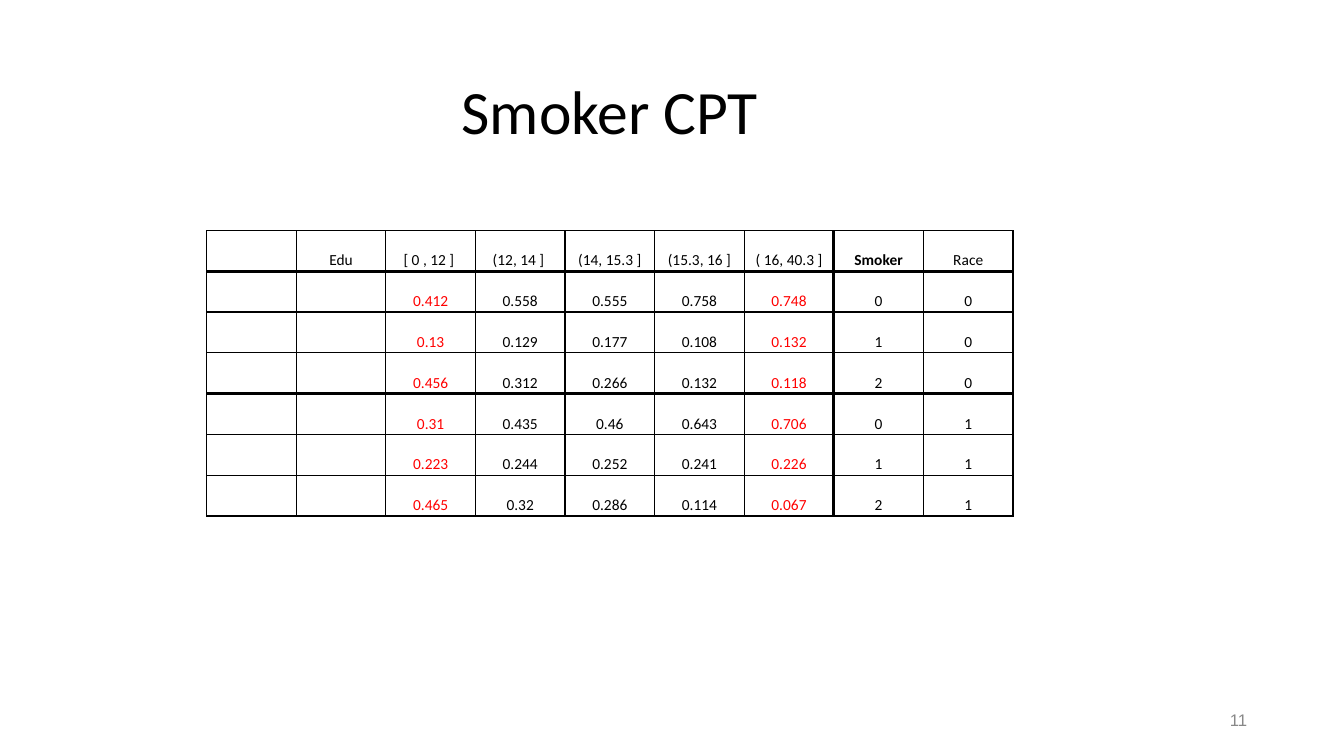
from lxml import etree
from pptx import Presentation
from pptx import util as u
from pptx.dml.color import RGBColor
from pptx.enum import text
from pptx.oxml.ns import qn

TITLE = "Smoker CPT"
PAGE_NUMBER = "11"
HEADINGS = ["", "Edu", "[ 0 , 12 ] ", "(12, 14 ] ", "(14, 15.3 ]", "(15.3, 16 ]",
            "( 16, 40.3 ]", "Smoker", "Race"]
PROBABILITIES = [
    ["", "", "0.412", "0.558", "0.555", "0.758", "0.748", "0", "0"],
    ["", "", "0.13", "0.129", "0.177", "0.108", "0.132", "1", "0"],
    ["", "", "0.456", "0.312", "0.266", "0.132", "0.118", "2", "0"],
    ["", "", "0.31", "0.435", "0.46", "0.643", "0.706", "0", "1"],
    ["", "", "0.223", "0.244", "0.252", "0.241", "0.226", "1", "1"],
    ["", "", "0.465", "0.32", "0.286", "0.114", "0.067", "2", "1"],
]
COLORS = {"ink": "000000", "accent": "FF0000", "page": "888888"}
ACCENT_COLUMNS = (2, 6)
HEAVY_ROW_EDGES = (1, 4)
HEAVY_COLUMN_EDGES = (7,)
THIN, HEAVY = 1, 2.25
TABLE_LEFT, TABLE_TOP, TABLE_WIDTH, TABLE_HEIGHT = 2.05, 2.29, 8, 2.83
HEADING_HEIGHT = 0.4


def style(paragraph, size, color, align, font="Calibri", bold=False):
    paragraph.alignment = align
    for item in [paragraph, *paragraph.runs]:
        item.font.size = u.Pt(size)
        item.font.name = font
        item.font.bold = bold
        item.font.color.rgb = RGBColor.from_string(COLORS[color])


def set_margins(frame, inset):
    frame.margin_left = frame.margin_right = u.Inches(inset)
    frame.margin_top = frame.margin_bottom = u.Inches(inset)


def add_borders(cell, row, column):
    properties = cell._tc.get_or_add_tcPr()
    edges = [("lnL", column in HEAVY_COLUMN_EDGES),
             ("lnR", column + 1 in HEAVY_COLUMN_EDGES),
             ("lnT", row in HEAVY_ROW_EDGES),
             ("lnB", row + 1 in HEAVY_ROW_EDGES)]
    for position, (edge, heavy) in enumerate(edges):
        line = etree.Element(qn("a:" + edge), w=str(u.Pt(HEAVY if heavy else THIN)))
        fill = etree.SubElement(line, qn("a:solidFill"))
        etree.SubElement(fill, qn("a:srgbClr"), val=COLORS["ink"])
        properties.insert(position, line)


def add_title(slide):
    title = slide.shapes.title
    title.left, title.top = u.Inches(0.3), u.Inches(0.41)
    title.width, title.height = u.Inches(11.5), u.Inches(1.45)
    frame = title.text_frame
    frame.text = TITLE
    frame.vertical_anchor = text.MSO_ANCHOR.MIDDLE
    set_margins(frame, 0.05)
    frame.paragraphs[0].line_spacing = 0.9
    style(frame.paragraphs[0], 44, "ink", text.PP_ALIGN.CENTER)


def add_page_number(slide):
    page = slide.shapes.add_textbox(u.Inches(9.42), u.Inches(7), u.Inches(3), u.Inches(0.29))
    frame = page.text_frame
    frame.text = PAGE_NUMBER
    frame.word_wrap = True
    frame.vertical_anchor = text.MSO_ANCHOR.MIDDLE
    set_margins(frame, 0.05)
    style(frame.paragraphs[0], 12, "page", text.PP_ALIGN.RIGHT, font="Arial")


def add_probability_table(slide):
    rows = [HEADINGS, *PROBABILITIES]
    table = slide.shapes.add_table(
        len(rows), len(HEADINGS), u.Inches(TABLE_LEFT), u.Inches(TABLE_TOP),
        u.Inches(TABLE_WIDTH), u.Inches(TABLE_HEIGHT)).table
    table.first_row = table.horz_banding = False
    for column in table.columns:
        column.width = u.Inches(TABLE_WIDTH / len(HEADINGS))
    value_height = (TABLE_HEIGHT - HEADING_HEIGHT) / len(PROBABILITIES)
    for r, values in enumerate(rows):
        table.rows[r].height = u.Inches(value_height if r else HEADING_HEIGHT)
        for c, value in enumerate(values):
            cell = table.cell(r, c)
            cell.text = value
            cell.fill.background()
            cell.vertical_anchor = text.MSO_ANCHOR.BOTTOM
            set_margins(cell, 0.01)
            color = "accent" if r and c in ACCENT_COLUMNS else "ink"
            style(cell.text_frame.paragraphs[0], 11, color, text.PP_ALIGN.CENTER,
                  bold=value == "Smoker")
            add_borders(cell, r, c)


def main():
    deck = Presentation()
    deck.slide_width, deck.slide_height = u.Inches(13.33), u.Inches(7.5)
    slide = deck.slides.add_slide(deck.slide_layouts[5])
    add_title(slide)
    add_page_number(slide)
    add_probability_table(slide)
    deck.save("out.pptx")


if __name__ == "__main__":
    main()
